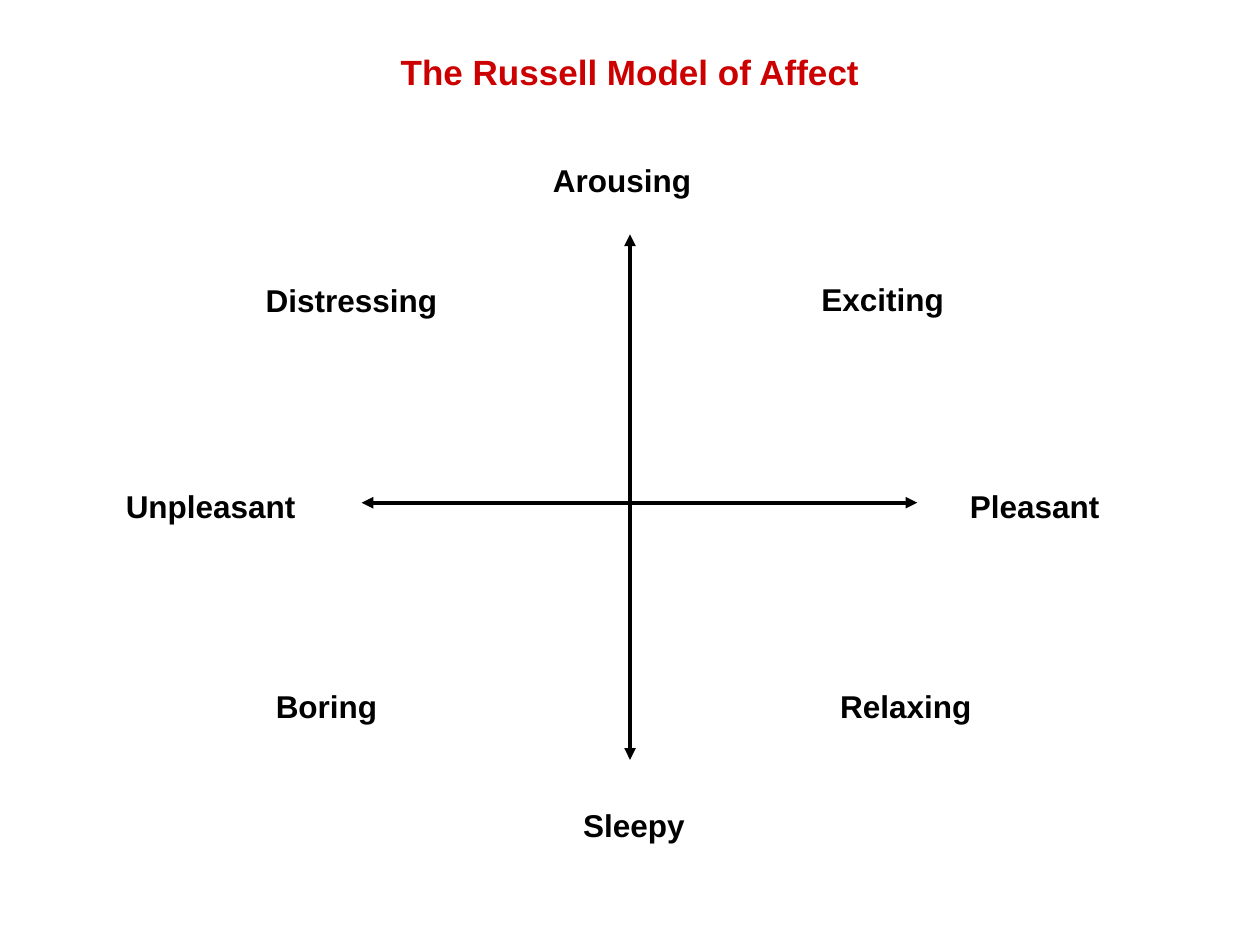
from lxml.etree import SubElement
from pptx import Presentation
from pptx.dml.color import RGBColor
from pptx.enum.shapes import MSO_CONNECTOR
from pptx.enum.text import MSO_ANCHOR, MSO_AUTO_SIZE, PP_ALIGN
from pptx.oxml.ns import qn
from pptx.util import Inches, Pt

RED = RGBColor(0xCC, 0x00, 0x00)
BLACK = RGBColor(0x00, 0x00, 0x00)
FONT = "Arial"
LABEL_HEIGHT = 0.4

AXES = [
    (5, 1.86, 5, 6.03),
    (2.87, 3.99, 7.28, 3.99),
]
LABELS = [
    ("Sleepy", 4.53, 6.35, 1.02),
    ("Relaxing", 6.57, 5.4, 1.34),
    ("Pleasant", 7.6, 3.82, 1.26),
    ("Exciting", 6.42, 2.17, 1.18),
    ("Arousing", 4.29, 1.23, 1.34),
    ("Unpleasant", 0.9, 3.82, 1.57),
    ("Boring", 2.09, 5.4, 1.18),
    ("Distressing", 2.01, 2.18, 1.65),
]


def add_bold_run(paragraph, text, size, color):
    """Append a bold run to the paragraph."""
    run = paragraph.add_run()
    run.text = text
    run.font.name = FONT
    run.font.size = Pt(size)
    run.font.bold = True
    run.font.color.rgb = color


def place_title(slide, text, left, top, width, height):
    """Move and format the title placeholder."""
    title = slide.shapes.title
    title.left, title.top = Inches(left), Inches(top)
    title.width, title.height = Inches(width), Inches(height)
    title.text_frame.vertical_anchor = MSO_ANCHOR.MIDDLE
    paragraph = title.text_frame.paragraphs[0]
    paragraph.alignment = PP_ALIGN.CENTER
    add_bold_run(paragraph, text, 20, RED)


def add_axis(slide, start_x, start_y, end_x, end_y):
    """Draw an axis with an arrowhead at each end."""
    axis = slide.shapes.add_connector(
        MSO_CONNECTOR.STRAIGHT,
        Inches(start_x), Inches(start_y), Inches(end_x), Inches(end_y),
    )
    axis.line.color.rgb = BLACK
    axis.line.width = Pt(2.25)
    line = axis.line._get_or_add_ln()
    for end in ("a:headEnd", "a:tailEnd"):
        SubElement(line, qn(end), type="triangle")
    SubElement(axis._element.spPr, qn("a:effectLst"))


def add_label(slide, text, left, top, width):
    """Write the name of a feeling in a one-line box."""
    label = slide.shapes.add_textbox(
        Inches(left), Inches(top), Inches(width), Inches(LABEL_HEIGHT)
    )
    label.text_frame.word_wrap = False
    label.text_frame.auto_size = MSO_AUTO_SIZE.SHAPE_TO_FIT_TEXT
    paragraph = label.text_frame.paragraphs[0]
    paragraph.alignment = PP_ALIGN.LEFT
    add_bold_run(paragraph, text, 18, BLACK)


def main():
    """Build and save the slide."""
    presentation = Presentation()
    presentation.slide_width = Inches(10)
    presentation.slide_height = Inches(7.5)
    slide = presentation.slides.add_slide(presentation.slide_layouts[5])
    place_title(slide, "The Russell Model of Affect", 0.5, 0.3, 9, 0.54)
    for axis in AXES:
        add_axis(slide, *axis)
    for label in LABELS:
        add_label(slide, *label)
    presentation.save("out.pptx")


if __name__ == "__main__":
    main()
